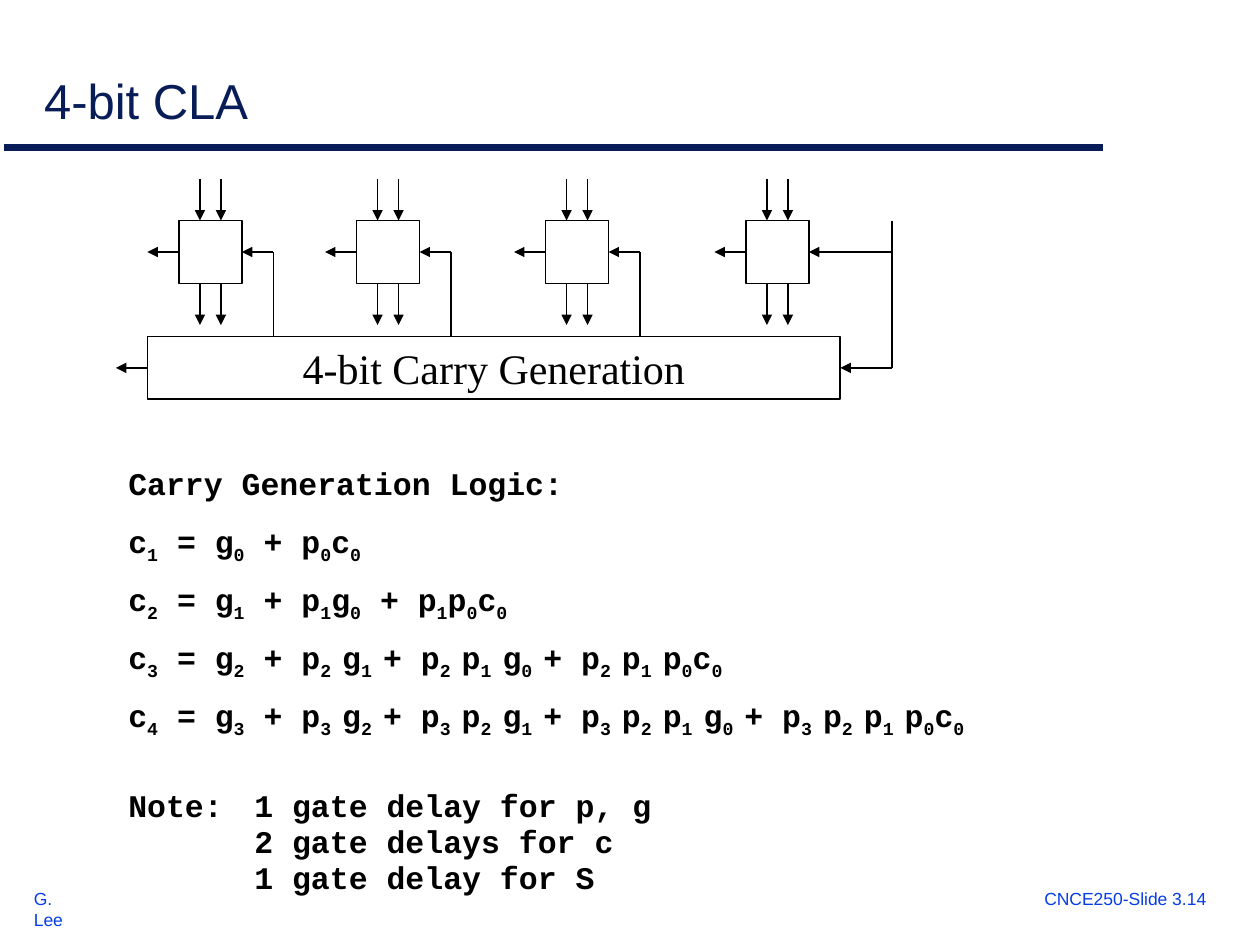
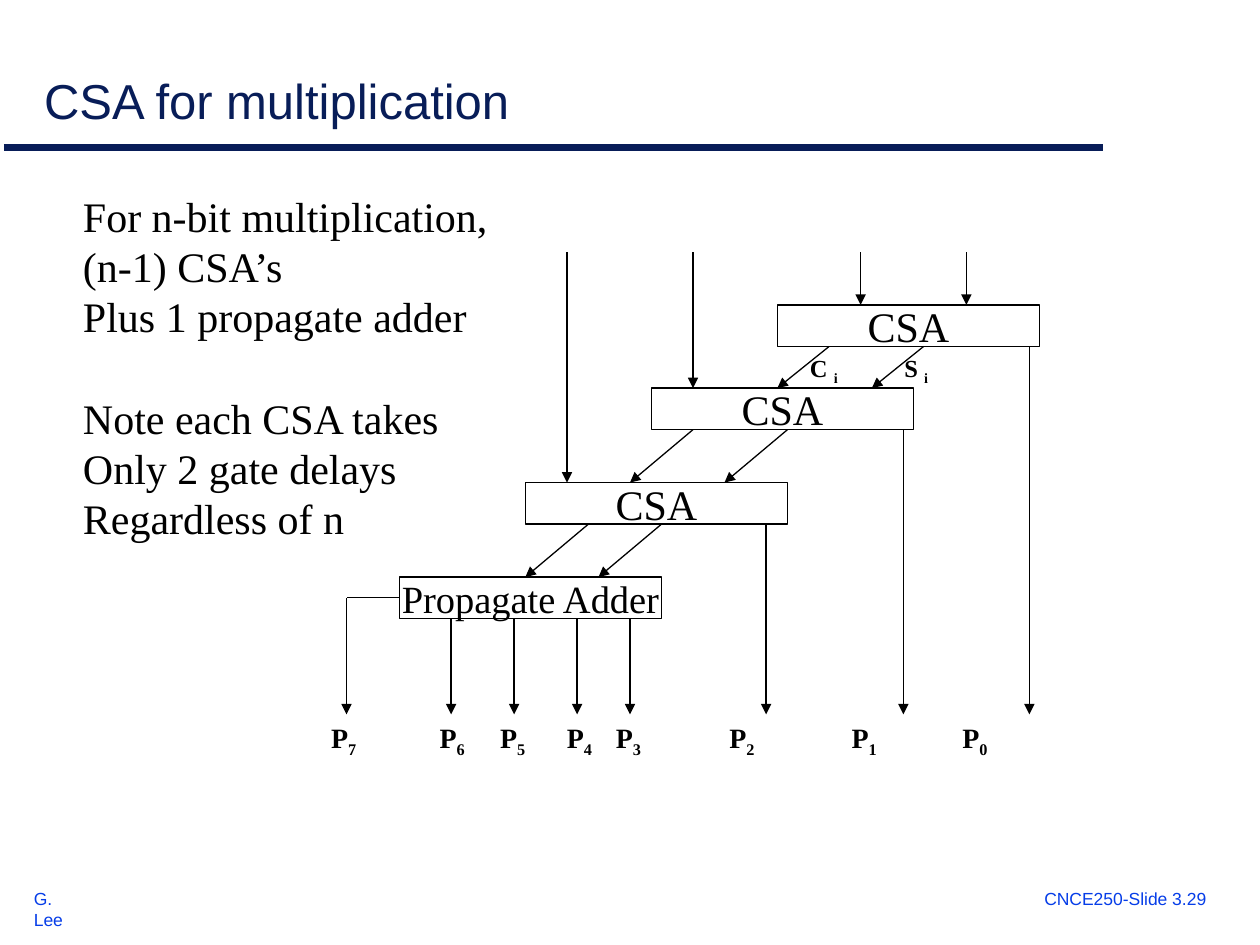
from pptx import Presentation
from pptx.dml.color import RGBColor
from pptx.enum.shapes import MSO_CONNECTOR, MSO_SHAPE
from pptx.enum.text import MSO_ANCHOR, MSO_AUTO_SIZE, PP_ALIGN
from pptx.oxml.ns import qn
from pptx.util import Inches, Pt
from lxml import etree

STRAIGHT = MSO_CONNECTOR.STRAIGHT
RECTANGLE = MSO_SHAPE.RECTANGLE
TOP, MIDDLE, BOTTOM = MSO_ANCHOR.TOP, MSO_ANCHOR.MIDDLE, MSO_ANCHOR.BOTTOM
LEFT, CENTER = PP_ALIGN.LEFT, PP_ALIGN.CENTER
GROW = MSO_AUTO_SIZE.SHAPE_TO_FIT_TEXT
TITLE_ONLY = 5
LEFT_SIDE, RIGHT_SIDE = 1, 3

NAVY, BLUE, BLACK, WHITE = "081D58", "063DE8", "000000", "FFFFFF"
SANS, SERIF, MONO = "Arial", "Times New Roman", "Courier New"


def color(value):
    return RGBColor.from_string(value)


def box_lengths(*box):
    return [Inches(length) for length in box]


def format_paragraph(paragraph, size, font, ink=BLACK, bold=False,
                     before=0, spacing=None, align=LEFT):
    paragraph.alignment = align
    paragraph.space_before = Pt(before)
    if spacing:
        paragraph.line_spacing = spacing
    for run in paragraph.runs:
        run.font.size = Pt(size)
        run.font.name = font
        run.font.bold = bold
        run.font.color.rgb = color(ink)


def set_subscripted_text(paragraph, text):
    for index, part in enumerate(text.replace("}", "{").split("{")):
        if part:
            run = paragraph.add_run()
            run.text = part
            if index % 2:
                run.font._element.set("baseline", "-25000")


def set_tab_stops(paragraph, positions):
    properties = paragraph._p.get_or_add_pPr()
    tab_list = etree.SubElement(properties, qn("a:tabLst"))
    for position in positions:
        etree.SubElement(tab_list, qn("a:tab"), pos=str(Inches(position)), algn="l")


def add_text(slide, box, lines, size, font, wrap=True, befores=None, tabs=(), **style):
    text_frame = slide.shapes.add_textbox(*box_lengths(*box)).text_frame
    text_frame.word_wrap = wrap
    text_frame.auto_size = GROW
    for index, line in enumerate(lines):
        paragraph = text_frame.add_paragraph() if index else text_frame.paragraphs[0]
        set_subscripted_text(paragraph, line)
        before = befores[index] if befores else 0
        format_paragraph(paragraph, size, font, before=before, **style)
        if tabs:
            set_tab_stops(paragraph, tabs)


def add_block(slide, box, weight, text="", size=24, fill=None,
              wrap=True, anchor=MIDDLE, before=0):
    block = slide.shapes.add_shape(RECTANGLE, *box_lengths(*box))
    block.shadow.inherit = False
    block.line.color.rgb = color(BLACK)
    block.line.width = Pt(weight)
    if fill:
        block.fill.solid()
        block.fill.fore_color.rgb = color(fill)
    else:
        block.fill.background()
    if text:
        text_frame = block.text_frame
        text_frame.text = text
        text_frame.word_wrap = wrap
        text_frame.vertical_anchor = anchor
        format_paragraph(text_frame.paragraphs[0], size, SERIF,
                         before=before, align=CENTER)
    return block


def add_line(slide, start, end, weight, arrow=True, ink=BLACK, source=None, target=None):
    line = slide.shapes.add_connector(STRAIGHT, *box_lengths(*start, *end))
    line.line.color.rgb = color(ink)
    line.line.width = Pt(weight)
    if arrow:
        etree.SubElement(line.line._get_or_add_ln(), qn("a:tailEnd"), type="triangle")
    etree.SubElement(line._element.spPr, qn("a:effectLst"))
    if source:
        line.begin_connect(*source)
    if target:
        line.end_connect(*target)


def add_titled_slide(presentation, title_text, number):
    slide = presentation.slides.add_slide(presentation.slide_layouts[TITLE_ONLY])
    title = slide.shapes.title
    title.left, title.top, title.width, title.height = box_lengths(0.25, 0.29, 9.58, 0.79)
    title.text_frame.text = title_text
    title.text_frame.vertical_anchor = BOTTOM
    format_paragraph(title.text_frame.paragraphs[0], 28, SANS, NAVY)
    add_line(slide, (0.03, 1.17), (8.75, 1.17), 4, arrow=False, ink=NAVY)
    for left, width, text in ((0.17, 0.61, "G. Lee"),
                              (8.19, 1.96, f"CNCE250-Slide {number}")):
        add_text(slide, (left, 7, width, 0.26), [text], 10, SANS, wrap=False, ink=BLUE)
    return slide


def add_adder_cell(slide, left, top, feed_length):
    side = 0.5
    middle = top + side / 2
    right = left + side
    cell = add_block(slide, (left, top, side, side), 1, fill=WHITE)
    for x in (left + side / 3, left + side * 2 / 3):
        add_line(slide, (x, top - 0.33), (x, top), 1)
        add_line(slide, (x, top + side), (x, top + side + 0.33), 1)
    add_line(slide, (left, middle), (left - 0.25, middle), 1, source=(cell, LEFT_SIDE))
    add_line(slide, (right + feed_length, middle), (right, middle), 1,
             target=(cell, RIGHT_SIDE))
    return right + feed_length, middle


def add_carry_diagram(slide, left, top):
    cell_top, block_top = top + 0.33, top + 1.25
    block_left, block_width, block_height = left + 0.25, 5.5, 0.5
    block_middle = block_top + block_height / 2
    block = add_block(slide, (block_left, block_top, block_width, block_height), 1,
                      "4-bit Carry Generation", anchor=TOP, before=15)
    add_line(slide, (block_left, block_middle), (left, block_middle), 1,
             source=(block, LEFT_SIDE))
    for offset in (0.5, 1.91, 3.41):
        x, y = add_adder_cell(slide, left + offset, cell_top, 0.25)
        add_line(slide, (x, y), (x, block_top), 1, arrow=False)
    carry_in, _ = add_adder_cell(slide, left + 5, cell_top, 0.66)
    add_line(slide, (carry_in, cell_top), (carry_in, block_middle), 1, arrow=False)
    add_line(slide, (carry_in, block_middle), (block_left + block_width, block_middle), 1,
             target=(block, RIGHT_SIDE))


def add_carry_logic(slide, box):
    equations = [
        "Carry Generation Logic:",
        "c{1} = g{0} + p{0}c{0}",
        "c{2} = g{1} + p{1}g{0} + p{1}p{0}c{0}",
        "c{3} = g{2} + p{2 }g{1 }+ p{2 }p{1 }g{0 }+ p{2 }p{1 }p{0}c{0}",
        "c{4} = g{3} + p{3 }g{2 }+ p{3 }p{2 }g{1 }+ p{3 }p{2 }p{1 }g{0 }"
        "+ p{3 }p{2 }p{1 }p{0}c{0}",
    ]
    notes = ["Note:\t1 gate delay for p, g", "\t2 gate delays for c", "\t1 gate delay for S"]
    befores = [11.2] * len(equations) + [31, 1.1, 1.1]
    add_text(slide, box, equations + notes, 18, MONO, befores=befores,
             tabs=[1], bold=True, spacing=0.9)


def add_multiplier_diagram(slide, left, top):
    weight, width, height = 0.75, 2.08, 0.33
    output_bottom = top + 3.67
    stages = [
        ("CSA", 24, 0.42, (0.66, 1.5), (2,)),
        ("CSA", 24, 1.08, (0.33,), (2,)),
        ("CSA", 24, 1.83, (0.33,), (1.91,)),
        ("Propagate Adder", 22, 2.58, (), (0.41, 0.91, 1.41, 1.83)),
    ]
    transfers = [((0.41, 1.16), 0.41), ((0.33, 1.08), 0.5), ((0.5, 1.08), 0.5)]
    for index, (name, size, offset, inputs, outputs) in enumerate(stages):
        stage_left, stage_top = left + 3.42 - index, top + offset
        stage_bottom = stage_top + height
        stage = add_block(slide, (stage_left, stage_top, width, height), weight,
                          name, size, wrap=False)
        for x in inputs:
            add_line(slide, (stage_left + x, top), (stage_left + x, stage_top), weight)
        for x in outputs:
            add_line(slide, (stage_left + x, stage_bottom),
                     (stage_left + x, output_bottom), weight)
        if index < len(transfers):
            starts, shift = transfers[index]
            next_top = top + stages[index + 1][2]
            for x in starts:
                add_line(slide, (stage_left + x, stage_bottom),
                         (stage_left + x - shift, next_top), weight)
    adder_middle = stage_top + height / 2
    add_line(slide, (stage_left, adder_middle), (left, adder_middle), weight,
             arrow=False, source=(stage, LEFT_SIDE))
    add_line(slide, (left, adder_middle), (left, output_bottom), weight)

    products = "".join(f"\tP{{{bit}}}" for bit in range(7, -1, -1))
    add_text(slide, (left - 0.67, output_bottom, 6.75, 0.41), [products], 16, SERIF,
             befores=[10], bold=True,
             tabs=[0.45, 1.31, 1.79, 2.32, 2.71, 3.61, 4.58, 5.46])
    for text, x, before in (("S {i}", 4.33, 8.8), ("C {i}", 3.58, 0)):
        add_text(slide, (left + x, top + 0.75, 0.5, 0.37), [text], 14, SERIF,
                 befores=[before], bold=True)


def add_multiplication_notes(slide, box):
    lines = ["For n-bit multiplication,", "(n-1) CSA’s", "Plus 1 propagate adder",
             "Note each CSA takes", "Only 2 gate delays", "Regardless of n"]
    add_text(slide, box, lines, 24, SERIF, wrap=False, befores=[0, 0, 0, 29, 0, 0])


def main():
    presentation = Presentation()
    presentation.slide_width, presentation.slide_height = Inches(10), Inches(7.5)

    carry_slide = add_titled_slide(presentation, "4-bit CLA", "3.14")
    add_carry_diagram(carry_slide, 0.92, 1.42)
    add_carry_logic(carry_slide, (0.92, 3.67, 7.67, 3.58))

    multiplier_slide = add_titled_slide(presentation, "CSA for multiplication", "3.29")
    add_multiplier_diagram(multiplier_slide, 2.75, 2)
    add_multiplication_notes(multiplier_slide, (0.56, 1.46, 3.41, 2.9))

    presentation.save("out.pptx")


if __name__ == "__main__":
    main()
